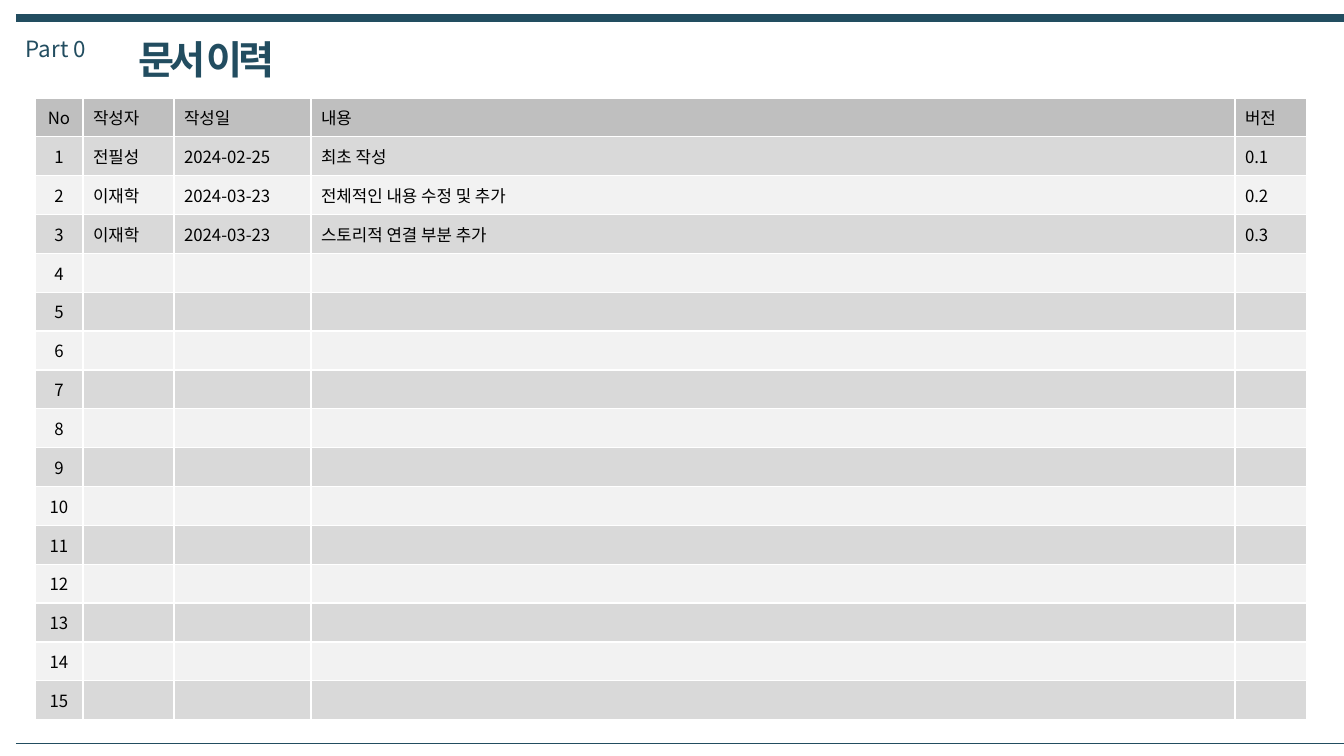
from lxml.etree import SubElement
from pptx import Presentation
from pptx.dml.color import RGBColor
from pptx.enum.shapes import MSO_CONNECTOR
from pptx.enum.text import MSO_ANCHOR, MSO_AUTO_SIZE, PP_ALIGN
from pptx.oxml import parse_xml
from pptx.oxml.ns import nsdecls, qn
from pptx.util import Pt

FONT = "Noto Sans CJK KR"
TEAL = "224D60"
SCALE = 914400 / 100.8


def px(n):
    return round(n * SCALE)


def add_run(p, text, size, color, bold=False):
    r = p.add_run()
    r.text = text
    r.font.size = Pt(size)
    r.font.bold = bold
    r.font.name = FONT
    r.font.color.rgb = RGBColor.from_string(color)
    SubElement(r.font._element, qn("a:ea")).set("typeface", FONT)
    return r


prs = Presentation()
prs.slide_width, prs.slide_height = px(1344), px(756)
s = prs.slides.add_slide(prs.slide_layouts[5])

for y, width in [(18, 6), (743, 0.25)]:
    line = s.shapes.add_connector(MSO_CONNECTOR.STRAIGHT, px(16), px(y), px(1346), px(y))
    line.line.color.rgb = RGBColor.from_string(TEAL)
    line.line.width = Pt(width)
    SubElement(line._element.spPr, qn("a:effectLst"))

title = s.shapes.title
title.left, title.top, title.width, title.height = px(128), px(30), px(163), px(58)
part = s.shapes.add_textbox(px(16), px(30), px(81), px(37))
for sp, text, size, bold in [(part, "Part 0", 16, False), (title, "문서 이력", 28, True)]:
    tf = sp.text_frame
    tf.word_wrap = False
    tf.auto_size = MSO_AUTO_SIZE.NONE
    tf.vertical_anchor = MSO_ANCHOR.MIDDLE
    p = tf.paragraphs[0]
    p.alignment = PP_ALIGN.LEFT
    r = add_run(p, text, size, TEAL, bold)
    if bold:
        r.font._element.set("spc", "-300")

rows = [
    ["No", "작성자", "작성일", "내용", "버전"],
    ["1", "전필성", "2024-02-25", "최초 작성", "0.1"],
    ["2", "이재학", "2024-03-23", "전체적인 내용 수정 및 추가", "0.2"],
    ["3", "이재학", "2024-03-23", "스토리적 연결 부분 추가", "0.3"],
]
rows += [[str(n), "", "", "", ""] for n in range(4, 16)]
widths = [48, 91, 137, 924, 72]

table = s.shapes.add_table(len(rows), len(widths), px(35), px(98), px(sum(widths)), px(622)).table
table.horz_banding = False
for col, width in zip(table.columns, widths):
    col.width = px(width)

for i, row in enumerate(rows):
    fill = "BFBFBF" if i == 0 else ("F2F2F2", "D9D9D9")[i % 2]
    for j, text in enumerate(row):
        cell = table.cell(i, j)
        cell.fill.solid()
        cell.fill.fore_color.rgb = RGBColor.from_string(fill)
        cell.vertical_anchor = MSO_ANCHOR.MIDDLE
        tcPr = cell._tc.get_or_add_tcPr()
        for k, side in enumerate("LRTB"):
            tcPr.insert(k, parse_xml(
                f'<a:ln{side} {nsdecls("a")} w="12700"><a:solidFill>'
                f'<a:srgbClr val="FFFFFF"/></a:solidFill></a:ln{side}>'))
        p = cell.text_frame.paragraphs[0]
        p.alignment = PP_ALIGN.CENTER if j == 0 else PP_ALIGN.LEFT
        if text:
            add_run(p, text, 12, "000000")
        else:
            SubElement(p._p, qn("a:endParaRPr")).set("sz", "1200")

prs.save("out.pptx")
